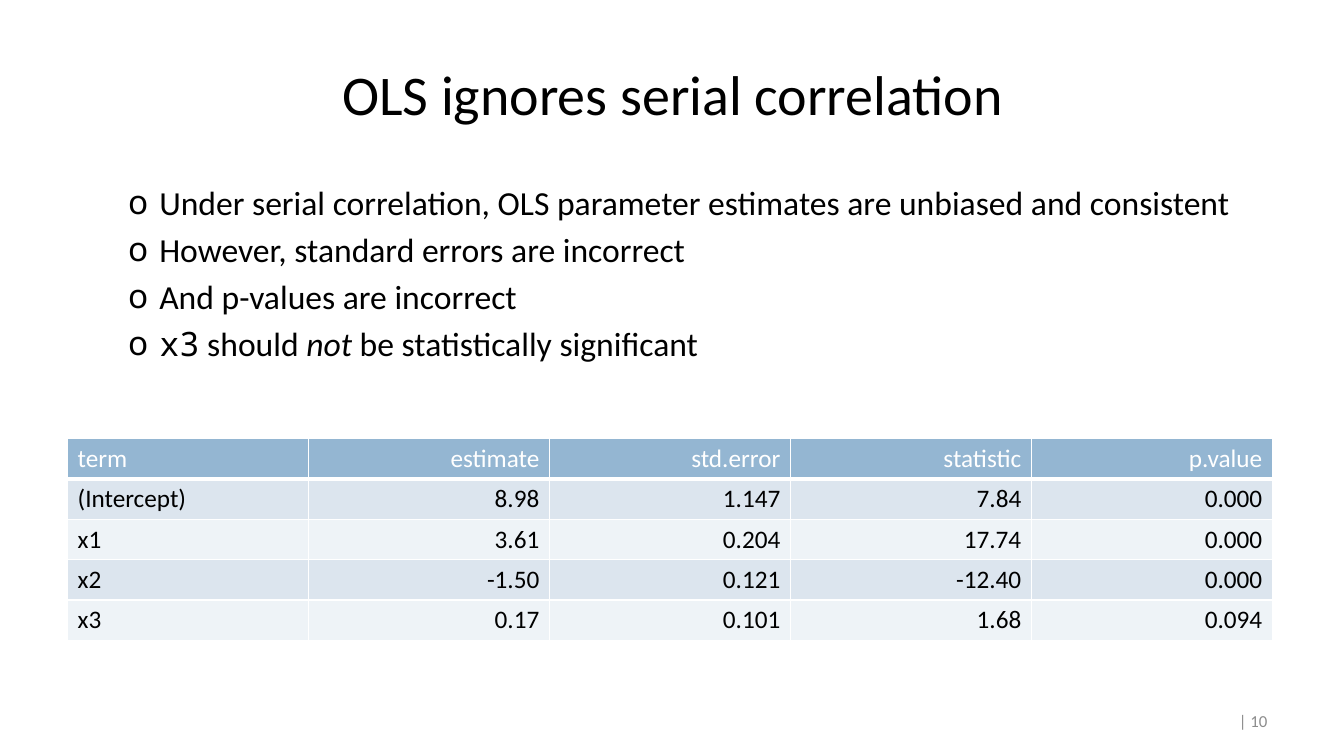
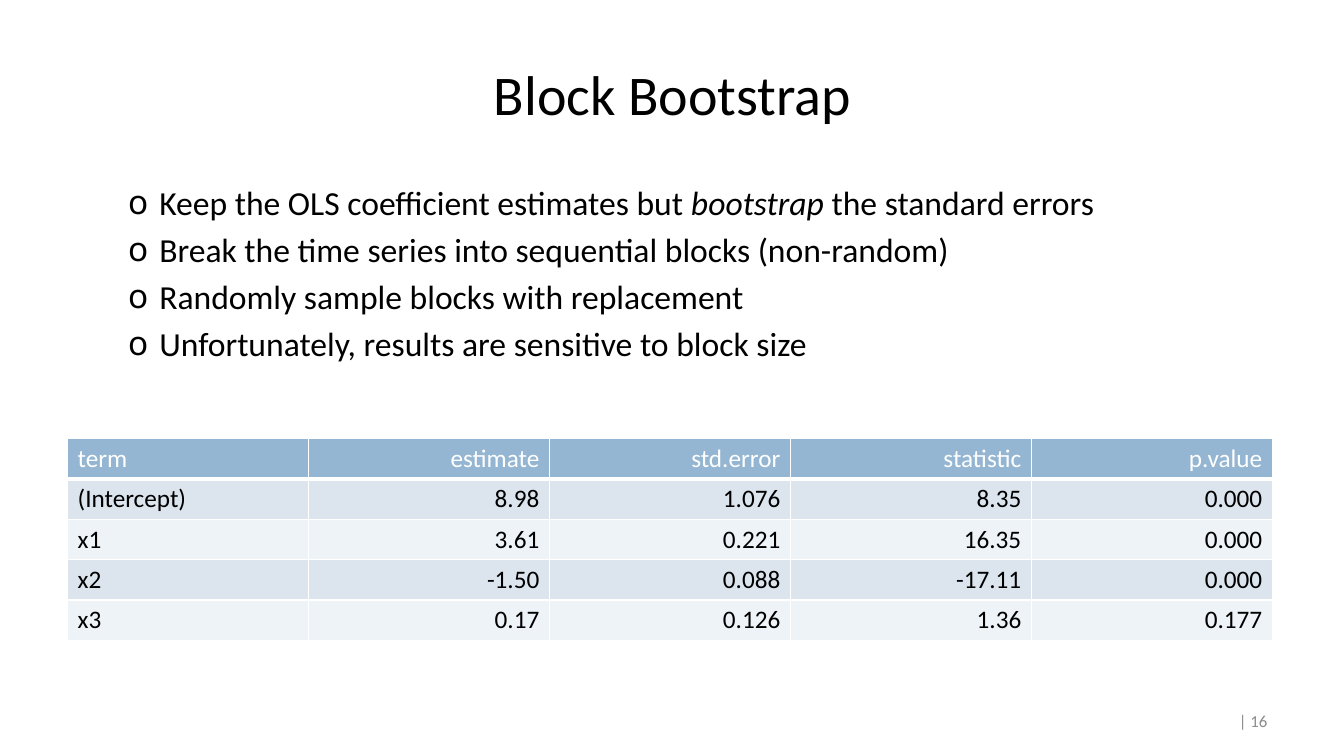
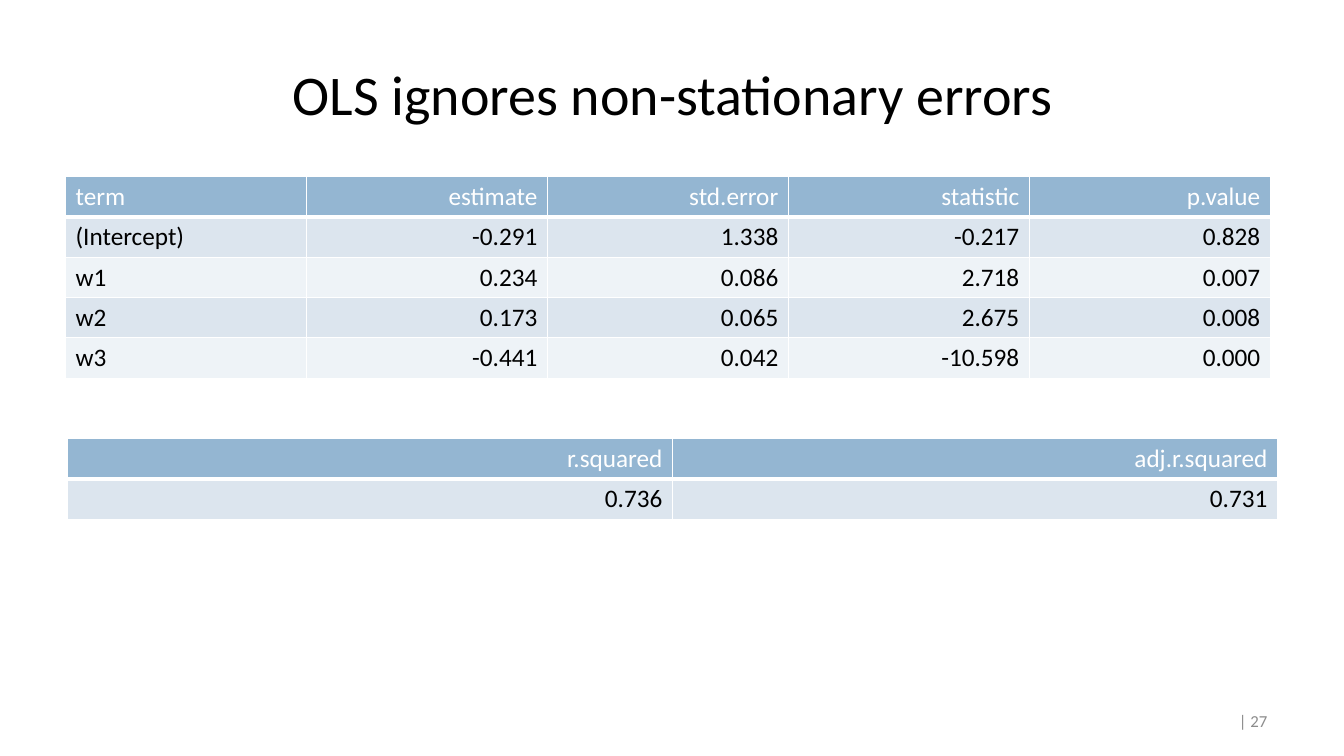
from lxml import etree
from pptx import Presentation
from pptx import util as u
from pptx.dml.color import RGBColor
from pptx.enum import text
from pptx.oxml import ns

PX = 9144  # EMU in one px, 100 px to the inch
WHITE = RGBColor(0xFF, 0xFF, 0xFF)
BLACK = RGBColor(0x00, 0x00, 0x00)
GREY = RGBColor(0x8C, 0x8C, 0x8C)
HEADER_BLUE = RGBColor(0x94, 0xB6, 0xD2)
BAND_COLOURS = (RGBColor(0xDC, 0xE5, 0xEE), RGBColor(0xEE, 0xF3, 0xF7))
FONT, CODE_FONT = "Calibri", "Noto Sans Mono"
LEFT, WIDTH = 67, 1200
UPPER_TOP, LOWER_TOP = 175, 435
COLUMN_WIDTH, ROW_HEIGHT = 239, 40
MODEL_HEADER = ("term", "estimate", "std.error", "statistic", "p.value")


def px(*lengths):
    return [u.Emu(length * PX) for length in lengths]


def place(shape, *box):
    shape.left, shape.top, shape.width, shape.height = px(*box)


def style(font, size, colour=BLACK, name=FONT):
    font.name, font.size, font.color.rgb = name, u.Pt(size), colour


def add_page_number(slide, number):
    frame = slide.shapes.add_textbox(*px(1183, 695, 84, 40)).text_frame
    frame.word_wrap = True
    frame.vertical_anchor = text.MSO_ANCHOR.MIDDLE
    frame.text = f"| {number}"
    paragraph = frame.paragraphs[0]
    paragraph.alignment = text.PP_ALIGN.RIGHT
    style(paragraph.runs[0].font, 12, GREY)


def add_slide(presentation, layout_index, title, number):
    """Start a slide with its title and page number."""
    slide = presentation.slides.add_slide(presentation.slide_layouts[layout_index])
    heading = slide.shapes.title
    place(heading, LEFT, 30, WIDTH, 125)
    frame = heading.text_frame
    frame.text = title
    frame.auto_size = text.MSO_AUTO_SIZE.NONE
    frame.vertical_anchor = text.MSO_ANCHOR.MIDDLE
    frame.paragraphs[0].alignment = text.PP_ALIGN.CENTER
    style(frame.paragraphs[0].runs[0].font, 40)
    add_page_number(slide, number)
    return slide


def set_bullet(paragraph):
    properties = paragraph._p.get_or_add_pPr()
    properties.set("marL", str(81 * PX))
    properties.set("indent", str(-31 * PX))
    etree.SubElement(properties, ns.qn("a:buFont"), typeface=CODE_FONT)
    etree.SubElement(properties, ns.qn("a:buChar"), char="o")


def fill_bullets(slide, bullets):
    """Each bullet is a list of (text, kind) pieces; kind is "", "italic" or "code"."""
    body = slide.placeholders[1]
    place(body, LEFT, UPPER_TOP, WIDTH, 260)
    frame = body.text_frame
    frame.auto_size = text.MSO_AUTO_SIZE.NONE
    for index, pieces in enumerate(bullets):
        paragraph = frame.add_paragraph() if index else frame.paragraphs[0]
        paragraph.level = 1
        set_bullet(paragraph)
        if index == 0:
            paragraph.space_before = u.Pt(0)
        for words, kind in pieces:
            run = paragraph.add_run()
            run.text = words
            style(run.font, 24, name=CODE_FONT if kind == "code" else FONT)
            if kind == "italic":
                run.font.italic = True


def set_borders(cell, bottom_points):
    properties = cell._tc.get_or_add_tcPr()
    sides = (("L", 1), ("R", 1), ("T", 1), ("B", bottom_points))
    for position, (side, points) in enumerate(sides):
        line = etree.Element(ns.qn(f"a:ln{side}"), w=str(u.Pt(points)))
        fill = etree.SubElement(line, ns.qn("a:solidFill"))
        etree.SubElement(fill, ns.qn("a:srgbClr"), val=str(WHITE))
        properties.insert(position, line)


def add_result_table(slide, left, top, column_width, rows):
    """Draw a table whose first row is the header; all but "term" align right."""
    header = rows[0]
    size = (column_width * len(header), ROW_HEIGHT * len(rows))
    table = slide.shapes.add_table(len(rows), len(header), *px(left, top, *size)).table
    table.first_row = table.horz_banding = False
    for row_index, row in enumerate(rows):
        is_header = row_index == 0
        for column_index, value in enumerate(row):
            cell = table.cell(row_index, column_index)
            cell.text = value
            cell.fill.solid()
            cell.fill.fore_color.rgb = HEADER_BLUE if is_header else BAND_COLOURS[(row_index - 1) % 2]
            set_borders(cell, 3 if is_header else 1)
            paragraph = cell.text_frame.paragraphs[0]
            is_term = header[column_index] == "term"
            paragraph.alignment = text.PP_ALIGN.LEFT if is_term else text.PP_ALIGN.RIGHT
            style(paragraph.runs[0].font, 18, WHITE if is_header else BLACK)


def add_bullets_and_table_slide(presentation, title, number, bullets, rows):
    slide = add_slide(presentation, 1, title, number)
    fill_bullets(slide, bullets)
    add_result_table(slide, LEFT, LOWER_TOP, COLUMN_WIDTH, [MODEL_HEADER, *rows])


def main():
    presentation = Presentation()
    presentation.slide_width, presentation.slide_height = px(1333, 750)

    add_bullets_and_table_slide(
        presentation, "OLS ignores serial correlation", 10,
        [
            [("Under serial correlation, OLS parameter estimates are unbiased and consistent", "")],
            [("However, standard errors are incorrect", "")],
            [("And p-values are incorrect", "")],
            [("x3", "code"), (" should ", ""), ("not", "italic"),
             (" be statistically significant", "")],
        ],
        [
            ("(Intercept)", "8.98", "1.147", "7.84", "0.000"),
            ("x1", "3.61", "0.204", "17.74", "0.000"),
            ("x2", "-1.50", "0.121", "-12.40", "0.000"),
            ("x3", "0.17", "0.101", "1.68", "0.094"),
        ])

    add_bullets_and_table_slide(
        presentation, "Block Bootstrap", 16,
        [
            [("Keep the OLS coefficient estimates but ", ""), ("bootstrap", "italic"),
             (" the standard errors", "")],
            [("Break the time series into sequential blocks (non-random)", "")],
            [("Randomly sample blocks with replacement", "")],
            [("Unfortunately, results are sensitive to block size", "")],
        ],
        [
            ("(Intercept)", "8.98", "1.076", "8.35", "0.000"),
            ("x1", "3.61", "0.221", "16.35", "0.000"),
            ("x2", "-1.50", "0.088", "-17.11", "0.000"),
            ("x3", "0.17", "0.126", "1.36", "0.177"),
        ])

    slide = add_slide(presentation, 5, "OLS ignores non-stationary errors", 27)
    add_result_table(slide, 65, UPPER_TOP, COLUMN_WIDTH, [
        MODEL_HEADER,
        ("(Intercept)", "-0.291", "1.338", "-0.217", "0.828"),
        ("w1", "0.234", "0.086", "2.718", "0.007"),
        ("w2", "0.173", "0.065", "2.675", "0.008"),
        ("w3", "-0.441", "0.042", "-10.598", "0.000"),
    ])
    add_result_table(slide, LEFT, LOWER_TOP, WIDTH // 2, [
        ("r.squared", "adj.r.squared"),
        ("0.736", "0.731"),
    ])

    presentation.save("out.pptx")


if __name__ == "__main__":
    main()
